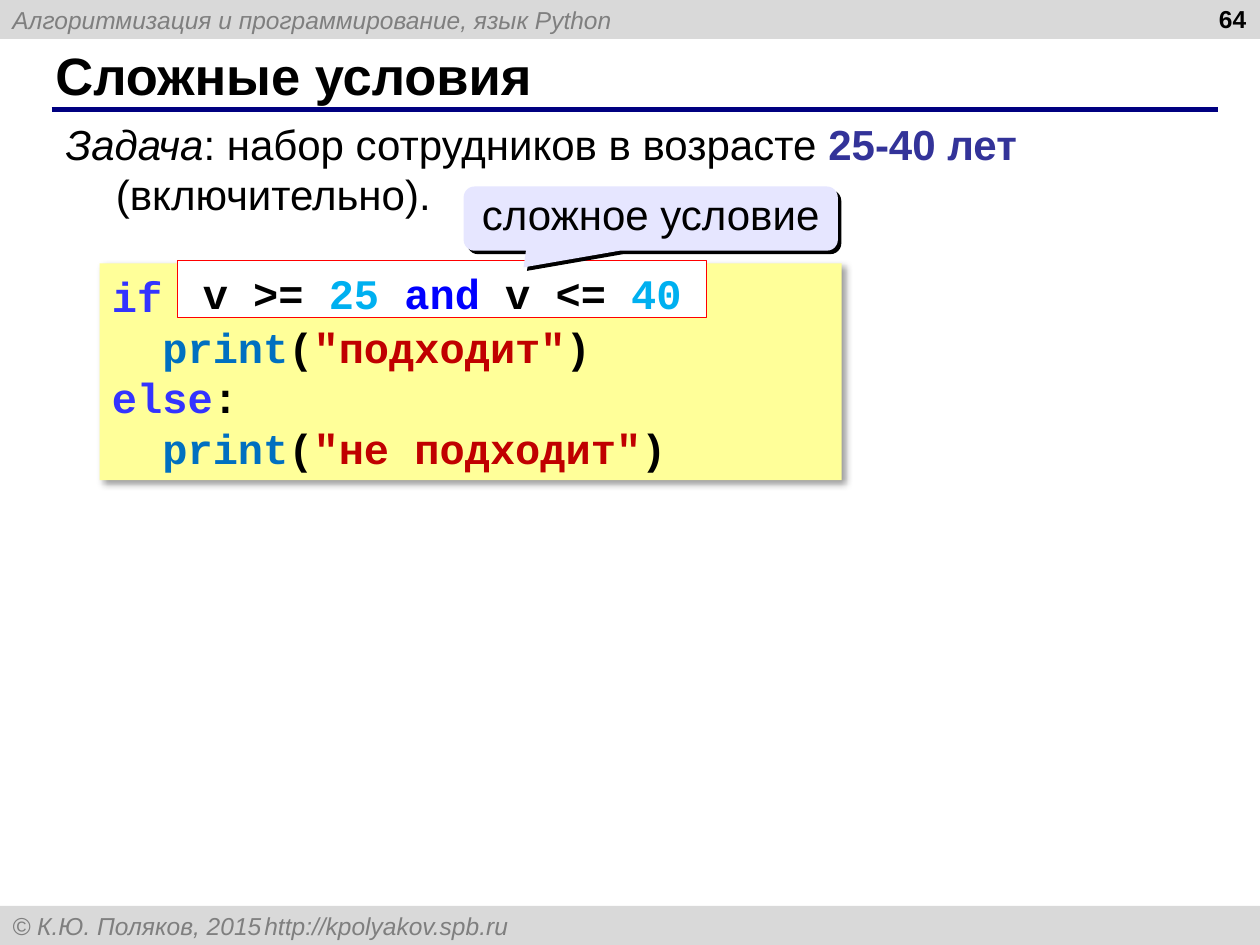
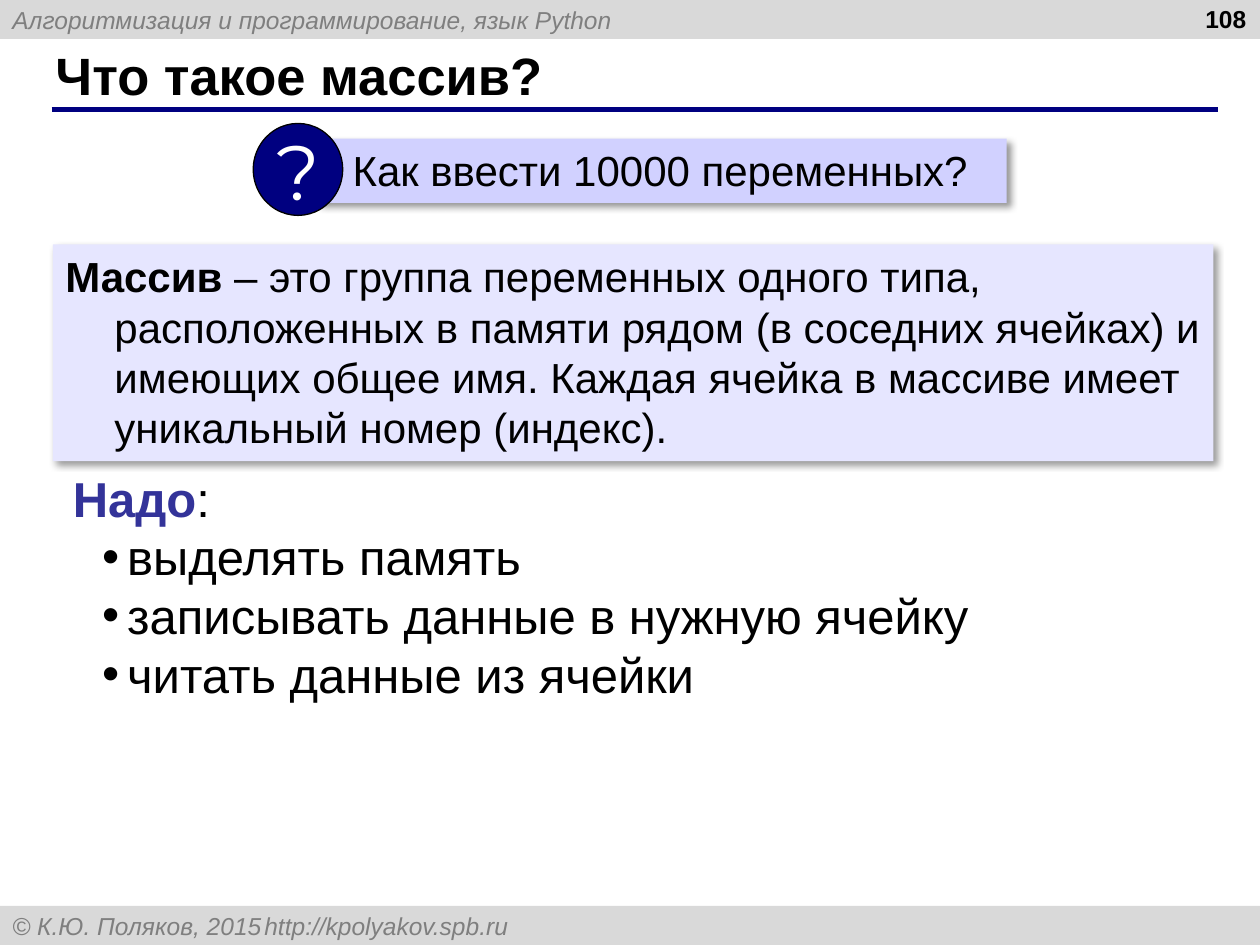
from dataclasses import dataclass

from lxml import etree
from pptx import Presentation, util as u
from pptx.dml import color
from pptx.enum import shapes, text
from pptx.oxml import ns


@dataclass(frozen=True)
class Theme:
    width: float = 10
    height: float = 7.5
    band: float = 0.31
    margin: float = 0.42
    panel: float = 9.21
    sans: str = "Arial"
    mono: str = "Courier New"
    icon: str = "Montserrat"
    small: int = 14
    body: int = 24
    large: int = 28
    title: int = 30
    mark: int = 44
    black: str = "000000"
    white: str = "FFFFFF"
    grey: str = "7F7F7F"
    bar: str = "D9D9D9"
    navy: str = "000080"
    yellow: str = "FFFF99"
    lilac: str = "E6E6FF"
    violet: str = "D1D1FF"
    red: str = "FF0000"


THEME = Theme()
STYLES = {
    "plain": (THEME.black, False, False),
    "bold": (THEME.black, True, False),
    "italic": (THEME.black, False, True),
    "accent": ("333399", True, False),
    "footer": (THEME.grey, False, True),
    "inverse": (THEME.white, False, False),
    "keyword": ("3333FF", True, False),
    "operator": ("0000FF", True, False),
    "function": ("0070C0", True, False),
    "string": ("C00000", True, False),
    "number": ("00B0F0", True, False),
}

HEADER = [("Алгоритмизация и программирование, язык Python", "footer")]
FOOTER = [("© К.Ю. Поляков, 2015\thttp://kpolyakov.spb.ru", "footer")]

TASK = [
    ("Задача", "italic"),
    (": набор сотрудников в возрасте ", "plain"),
    ("25-40 лет ", "accent"),
    ("(включительно).", "plain"),
]
CODE = [
    (0, [("if", "keyword"), ("\t:", "bold")]),
    (2, [("print", "function"), ("(", "bold"), ('"подходит"', "string"), (")", "bold")]),
    (0, [("else", "keyword"), (":", "bold")]),
    (2, [("print", "function"), ("(", "bold"), ('"не подходит"', "string"), (")", "bold")]),
]
CONDITION = [
    ("v >= ", "bold"),
    ("25 ", "number"),
    ("and", "operator"),
    (" v <= ", "bold"),
    ("40", "number"),
]
CALLOUT = [("сложное условие", "plain")]
COLON_COLUMN = 24
CODE_CHARACTER = 0.2

QUESTION = [("Как ввести 10000 переменных?", "plain")]
DEFINITION = [
    ("Массив", "bold"),
    (" – это группа переменных одного типа, расположенных в памяти рядом "
     "(в соседних ячейках) и имеющих общее имя. Каждая ячейка в массиве имеет "
     "уникальный номер (индекс).", "plain"),
]
NEEDS_HEADING = [("Надо", "accent"), (":", "plain")]
NEEDS = ["выделять память", "записывать данные в нужную ячейку", "читать данные из ячейки"]

LEFT, CENTER, RIGHT = text.PP_ALIGN.LEFT, text.PP_ALIGN.CENTER, text.PP_ALIGN.RIGHT
TOP, MIDDLE = text.MSO_ANCHOR.TOP, text.MSO_ANCHOR.MIDDLE
SHAPE = shapes.MSO_SHAPE


def rgb(value):
    return color.RGBColor.from_string(value)


def add_node(parent, tag, **attributes):
    node = etree.SubElement(parent, ns.qn(tag))
    for name, value in attributes.items():
        node.set(name, str(value))
    return node


def place(shape, at):
    shape.left, shape.top, shape.width, shape.height = map(u.Inches, at)


def line(spans, margin=0, hang=0, bullet=None, tab=None):
    return dict(spans=spans, margin=margin, hang=hang, bullet=bullet, tab=tab)


def write(shape, lines, size, font=THEME.sans, align=LEFT, anchor=TOP, wrap=True, spacing=1.0):
    frame = shape.text_frame
    frame.auto_size = text.MSO_AUTO_SIZE.NONE
    frame.word_wrap = wrap
    frame.vertical_anchor = anchor
    for index, item in enumerate(lines):
        para = frame.add_paragraph() if index else frame.paragraphs[0]
        para.alignment = align
        para.line_spacing = spacing
        para.space_before = u.Pt(0)
        properties = para._p.get_or_add_pPr()
        properties.set("marL", str(u.Inches(item["margin"])))
        properties.set("indent", str(u.Inches(-item["hang"])))
        if item["bullet"]:
            add_node(properties, "a:buChar", char=item["bullet"])
        else:
            add_node(properties, "a:buNone")
        if item["tab"]:
            position, side = item["tab"]
            stops = add_node(properties, "a:tabLst")
            add_node(stops, "a:tab", pos=u.Inches(position), algn=side)
        for words, style in item["spans"]:
            span = para.add_run()
            span.text = words
            span.font.name, span.font.size = font, u.Pt(size)
            shade, span.font.bold, span.font.italic = STYLES[style]
            span.font.color.rgb = rgb(shade)


def add_box(owner, kind, at, fill, outline=None):
    box = owner.shapes.add_shape(kind, *map(u.Inches, at))
    box.shadow.inherit = False
    box.fill.solid()
    box.fill.fore_color.rgb = rgb(fill)
    if outline:
        box.line.color.rgb = rgb(outline)
        box.line.width = u.Pt(0.75)
    else:
        box.line.fill.background()
    return box


def cast_shadow(box, opacity=40, blur=4, distance=3):
    effects = box._element.spPr.find(ns.qn("a:effectLst"))
    shadow = add_node(effects, "a:outerShdw", blurRad=u.Pt(blur), dist=u.Pt(distance),
                      dir=45 * 60000, algn="tl", rotWithShape=0)
    shade = add_node(shadow, "a:srgbClr", val=THEME.black)
    add_node(shade, "a:alpha", val=opacity * 1000)


def add_text(page, at, lines, size, **options):
    box = page.shapes.add_textbox(*map(u.Inches, at))
    write(box, lines, size, **options)


def furnish_layout(layout, page):
    header = add_box(page, SHAPE.RECTANGLE, (0, 0, THEME.width, THEME.band), THEME.bar)
    write(header, [line(HEADER)], THEME.small, anchor=MIDDLE)
    footer = add_box(page, SHAPE.RECTANGLE,
                     (0, THEME.height - THEME.band, THEME.width, THEME.band), THEME.bar)
    write(footer, [line(FOOTER, tab=(9.61, "r"))], THEME.small, anchor=MIDDLE)
    rule = page.shapes.add_connector(shapes.MSO_CONNECTOR.STRAIGHT,
                                     *map(u.Inches, (0.41, 0.87, 9.67, 0.87)))
    rule.line.color.rgb = rgb(THEME.navy)
    rule.line.width = u.Pt(3)
    add_node(rule._element.spPr, "a:effectLst")
    for part in (header, footer, rule):
        layout.shapes.element.append(part._element)


def start_page(page, title, number):
    place(page.shapes.title, (0.34, 0.33, 9.16, 0.52))
    write(page.shapes.title, [line([(title, "bold")])], THEME.title, anchor=MIDDLE)
    add_text(page, (7.66, -0.02, 2.33, 0.52), [line([(number, "bold")])],
             THEME.small, align=RIGHT)


def build_conditions(page):
    start_page(page, "Сложные условия", "64")
    task = page.placeholders[1]
    place(task, (THEME.margin, 0.89, THEME.panel, 0.91))
    write(task, [line(TASK, 0.4, 0.4)], THEME.body)

    code = add_box(page, SHAPE.RECTANGLE, (0.79, 2.09, 5.89, 1.72), THEME.yellow)
    cast_shadow(code)
    colon = (COLON_COLUMN * CODE_CHARACTER, "l")
    write(code, [line(spans, depth * CODE_CHARACTER, tab=colon) for depth, spans in CODE],
          THEME.body, font=THEME.mono, anchor=MIDDLE)

    condition = add_box(page, SHAPE.RECTANGLE, (1.41, 2.07, 4.2, 0.45), THEME.white, THEME.red)
    write(condition, [line(CONDITION)], THEME.body, font=THEME.mono, align=CENTER)
    condition.text_frame.margin_bottom = 0

    callout = add_box(page, SHAPE.ROUNDED_RECTANGULAR_CALLOUT,
                      (3.68, 1.48, 2.97, 0.51), THEME.lilac)
    for index, value in enumerate((-0.34, 0.76, 0.17)):
        callout.adjustments[index] = value
    cast_shadow(callout, opacity=100, blur=0, distance=2.8)
    write(callout, [line(CALLOUT)], THEME.body, align=CENTER, anchor=MIDDLE, spacing=0.8)


def build_array(page):
    start_page(page, "Что такое массив?", "108")
    definition = add_box(page, SHAPE.RECTANGLE,
                         (THEME.margin, 1.94, THEME.panel, 1.72), THEME.lilac)
    cast_shadow(definition)
    write(definition, [line(DEFINITION, 0.39, 0.39)], THEME.body)

    add_text(page, (0.48, 3.67, 7.53, 0.57), [line(NEEDS_HEADING)], THEME.large, anchor=MIDDLE)
    needs = page.placeholders[1]
    place(needs, (0.71, 4.13, 7.87, 1.52))
    write(needs, [line([(need, "plain")], 0.2, 0.2, "•") for need in NEEDS], THEME.large)

    group = page.shapes.add_group_shape()
    question = add_box(group, SHAPE.RECTANGLE, (2.52, 1.1, 5.47, 0.51), THEME.violet)
    cast_shadow(question)
    write(question, [line(QUESTION, 0.18)], THEME.body)
    badge = add_box(group, SHAPE.OVAL, (2.01, 0.98, 0.71, 0.73), THEME.navy, THEME.black)
    write(badge, [line([("?", "inverse")])], THEME.mark, font=THEME.icon,
          align=CENTER, anchor=MIDDLE, wrap=False)


def main():
    deck = Presentation()
    deck.slide_width, deck.slide_height = u.Inches(THEME.width), u.Inches(THEME.height)
    layout = deck.slide_layouts[1]
    pages = [deck.slides.add_slide(layout) for _ in range(2)]
    furnish_layout(layout, pages[0])
    for build, page in zip((build_conditions, build_array), pages):
        build(page)
    deck.save("out.pptx")


if __name__ == "__main__":
    main()
